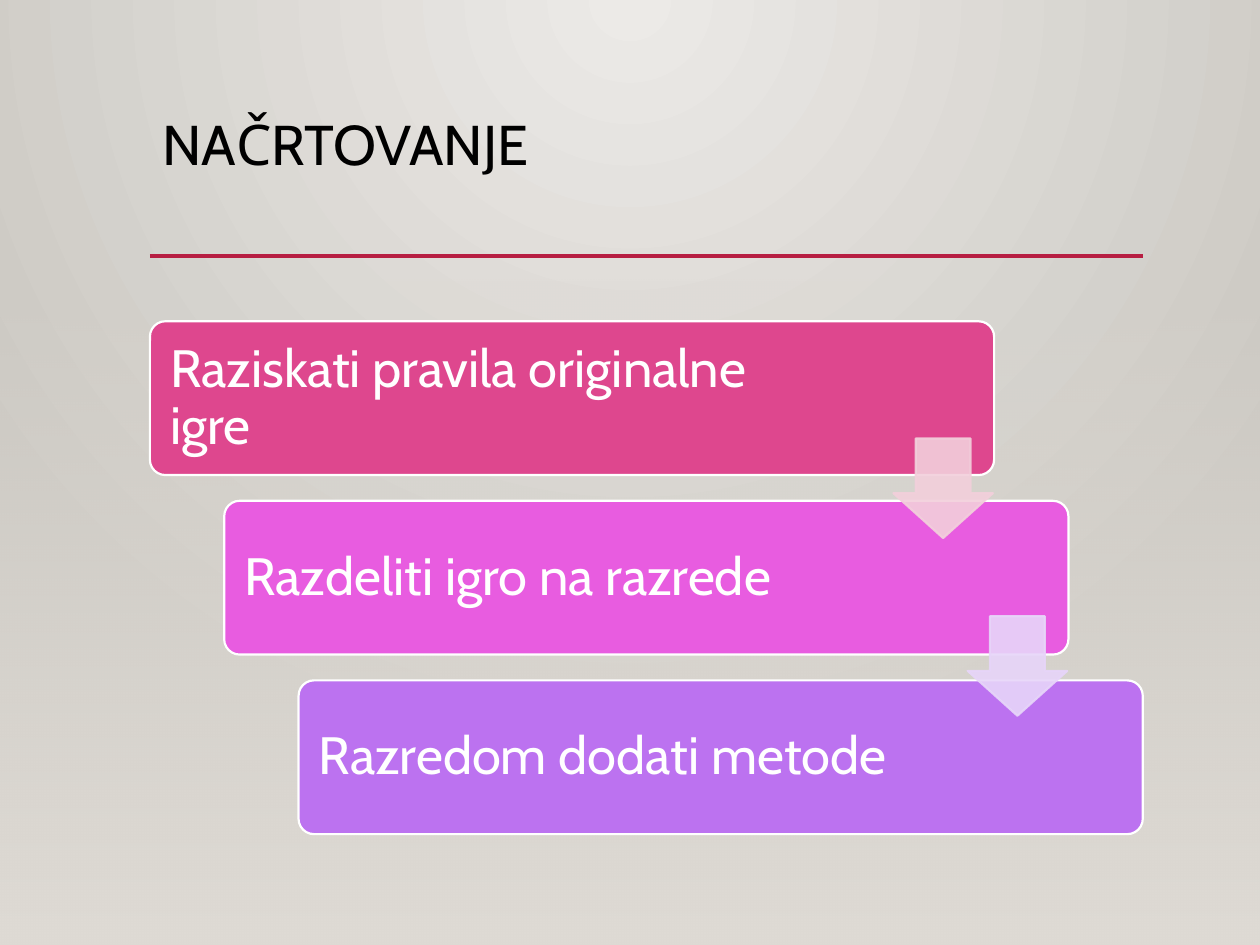
from pptx import Presentation
from pptx.dml.color import RGBColor
from pptx.enum.shapes import MSO_CONNECTOR, MSO_SHAPE
from pptx.enum.text import MSO_ANCHOR
from pptx.oxml.ns import qn
from pptx.util import Inches, Pt
from lxml import etree

RECT = MSO_SHAPE.RECTANGLE
ROUND = MSO_SHAPE.ROUNDED_RECTANGLE
ARROW = MSO_SHAPE.DOWN_ARROW
STRAIGHT = MSO_CONNECTOR.STRAIGHT
TOP, MIDDLE = MSO_ANCHOR.TOP, MSO_ANCHOR.MIDDLE

BLACK = RGBColor(0x00, 0x00, 0x00)
WHITE = RGBColor(0xFF, 0xFF, 0xFF)
RED = RGBColor(0xB7, 0x1E, 0x42)
LIGHT = RGBColor(0xEC, 0xEA, 0xE7)
GREY = RGBColor(0xCA, 0xC7, 0xC1)
SAND = RGBColor(0xDF, 0xDB, 0xD5)
PINK = RGBColor(0xDE, 0x47, 0x8E)
ORCHID = RGBColor(0xE8, 0x5C, 0xE0)
PURPLE = RGBColor(0xBC, 0x72, 0xF0)
ROSE = RGBColor(0xF2, 0xCF, 0xDB)
LILAC = RGBColor(0xE7, 0xD5, 0xF9)


def write(frame, text, size=30, color=WHITE, font="Cabin", anchor=MIDDLE, inset=None):
    """Put one formatted paragraph in a text frame."""
    frame.word_wrap = True
    frame.vertical_anchor = anchor
    if inset is not None:
        frame.margin_left = frame.margin_right = Inches(inset)
        frame.margin_top = frame.margin_bottom = Inches(inset)
    para = frame.paragraphs[0]
    para.line_spacing = 0.9
    run = para.add_run()
    run.text = text
    run.font.size = Pt(size)
    run.font.name = font
    run.font.color.rgb = color


def fade(root, percent):
    """Set the opacity of every plain colour below an element."""
    for color in root.iter(qn("a:srgbClr")):
        etree.SubElement(color, qn("a:alpha"), val=str(percent * 1000))


def blend(fill, first, last):
    """Give a fill a gradient of two colours and return its stops."""
    fill.gradient()
    stops = fill.gradient_stops
    for stop, color, place in zip(stops, (first, last), (0, 1)):
        stop.color.rgb = color
        stop.position = place
    return stops


class Deck:
    """Holds the line width and the current slide."""

    def __init__(self, show, edge=1.25):
        self.slide = show.slides.add_slide(show.slide_layouts[6])
        self.shapes = self.slide.shapes
        self.edge = Pt(edge)

    def glow(self, first, last):
        """Fill the background with a round gradient from the top centre."""
        blend(self.slide.background.fill, first, last)
        grad = self.slide.element.find(".//" + qn("a:gradFill"))
        grad.remove(grad.find(qn("a:lin")))
        path = etree.SubElement(grad, qn("a:path"), path="circle")
        etree.SubElement(path, qn("a:fillToRect"), l="43000", t="0", r="43000", b="100000")

    def shape(self, kind, left, top, width, height, adjust=()):
        """Add a bare preset shape."""
        shape = self.shapes.add_shape(
            kind, Inches(left), Inches(top), Inches(width), Inches(height))
        shape.shadow.inherit = False
        for spot, value in enumerate(adjust):
            shape.adjustments[spot] = value
        return shape

    def haze(self, left, top, width, height, color):
        """Add a band that grows from clear to solid downwards."""
        band = self.shape(RECT, left, top, width, height)
        band.line.fill.background()
        blend(band.fill, color, color)
        band.fill.gradient_angle = 270
        fade(band.element.find(".//" + qn("a:gs")), 0)

    def block(self, kind, left, top, width, height, color, line, adjust, solid=100):
        """Add a filled and outlined shape."""
        shape = self.shape(kind, left, top, width, height, adjust)
        shape.fill.solid()
        shape.fill.fore_color.rgb = color
        shape.line.color.rgb = line
        shape.line.width = self.edge
        if solid < 100:
            fade(shape.element.spPr, solid)

    def text(self, left, top, width, height, words, **style):
        """Add a text box."""
        box = self.shapes.add_textbox(
            Inches(left), Inches(top), Inches(width), Inches(height))
        write(box.text_frame, words, **style)

    def rule(self, left, right, top, color, width):
        """Add a level line."""
        line = self.shapes.add_connector(
            STRAIGHT, Inches(left), Inches(top), Inches(right), Inches(top))
        line.line.color.rgb = color
        line.line.width = Pt(width)
        etree.SubElement(line.element.spPr, qn("a:effectLst"))


def main():
    """Build the slide with its three steps."""
    show = Presentation()
    show.slide_width, show.slide_height = Inches(10), Inches(7.5)
    deck = Deck(show)
    deck.glow(LIGHT, GREY)
    deck.haze(0, 2.21, 10, 5.29, SAND)
    deck.text(1.19, 0.88, 7.88, 1.15, "NAČRTOVANJE", size=32, color=BLACK, anchor=TOP)
    deck.rule(1.19, 9.07, 2.03, RED, 2.5)

    steps = [
        ("Raziskati pravila originalne igre", PINK, 5.38),
        ("Razdeliti igro na razrede", ORCHID, 5.24),
        ("Razredom dodati metode", PURPLE, 5.24),
    ]
    left, top, right, down = 1.19, 2.55, 0.59, 1.425
    for spot, (words, color, width) in enumerate(steps):
        x, y = left + spot * right, top + spot * down
        deck.block(ROUND, x, y, 6.7, 1.22, color, WHITE, (0.1,))
        deck.text(x + 0.04, y + 0.04, width, 1.15, words, inset=0.12)
    for spot, color in enumerate((ROSE, LILAC)):
        deck.block(ARROW, 7.09 + spot * right, 3.48 + spot * 1.41, 0.79, 0.79,
                   color, color, (0.55, 0.45), solid=90)
    show.save("out.pptx")


main()
